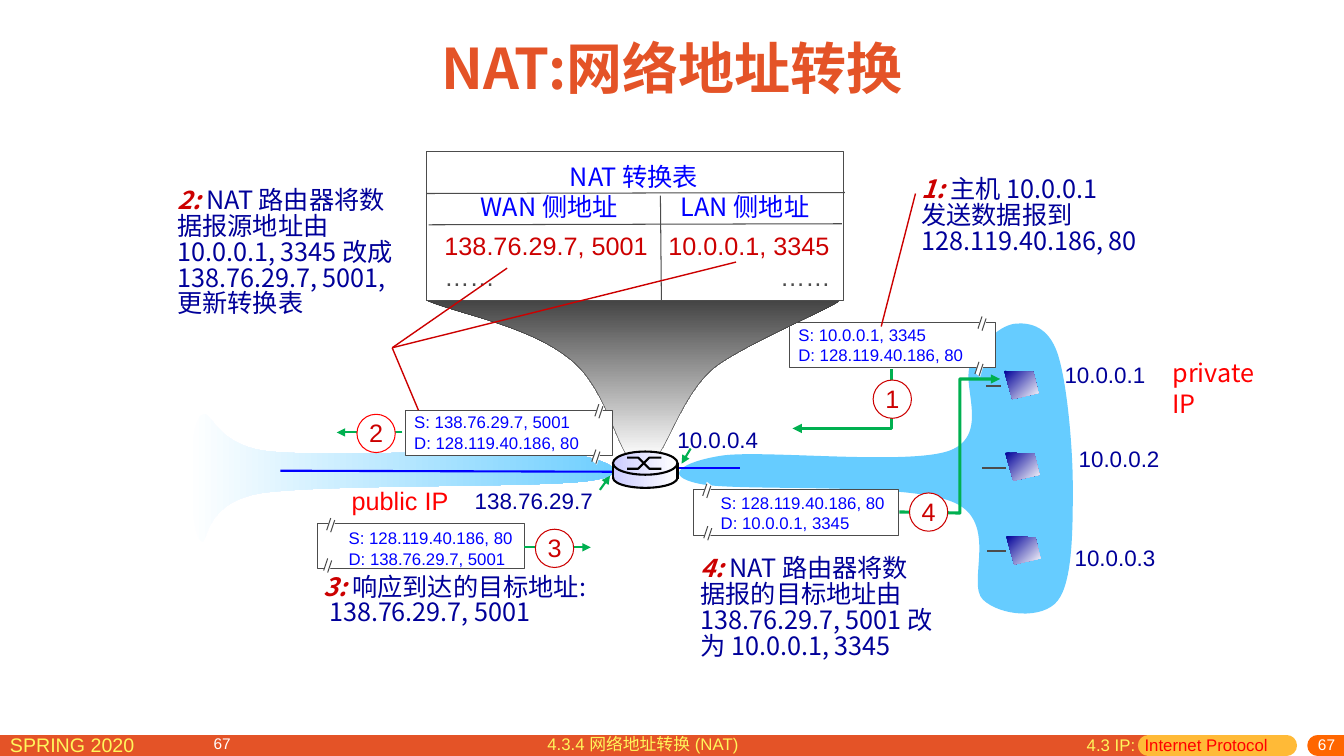
from lxml.etree import SubElement
from pptx import Presentation
from pptx.dml.color import RGBColor
from pptx.enum.shapes import MSO_CONNECTOR, MSO_SHAPE
from pptx.enum.text import MSO_ANCHOR, PP_ALIGN
from pptx.oxml.ns import qn
from pptx.util import Inches, Pt

HEX = {
    "white": "FFFFFF", "black": "000000", "gray": "4C4C4C", "dark": "373737",
    "sky": "66CCFF", "blue": "0000FF", "navy": "000099", "lilac": "CCCCFF",
    "crimson": "CC0000", "red": "FF0000", "green": "00B050",
    "brand": "E45327", "amber": "FFBA37", "orange": "FF6600", "lemon": "FFF65C",
}
LATIN, HAN = "Arial", "Noto Sans CJK SC"
METAL = ("lilac", "white", 0)


def rgb(name):
    return RGBColor.from_string(HEX[name])


def font(color, size, name=LATIN, **more):
    return {"color": color, "size": Pt(size), "name": name, **more}


def stroke(shape, color, width, **ends):
    """Set line colour and width; ends maps headEnd or tailEnd to an arrow type."""
    shape.line.color.rgb = rgb(color)
    shape.line.width = Pt(width)
    for tag, kind in ends.items():
        SubElement(shape.element.spPr.find(qn("a:ln")), qn("a:" + tag), type=kind)


def paint(shape, fill=None, line=None, width=0.75, **ends):
    """Fill with a colour, or with (from, to, clockwise angle), and outline."""
    shape.shadow.inherit = False
    if fill is None:
        shape.fill.background()
    elif isinstance(fill, tuple):
        shape.fill.gradient()
        shape.fill.gradient_angle = (360 - fill[2]) % 360
        for stop, name in zip(shape.fill.gradient_stops, fill):
            stop.color.rgb = rgb(name)
    else:
        shape.fill.solid()
        shape.fill.fore_color.rgb = rgb(fill)
    if line:
        stroke(shape, line, width, **ends)
    else:
        shape.line.fill.background()


def block(area, kind, x, y, w, h, *style):
    box = [Inches(v) for v in (x, y, w, h)]
    paint(area.shapes.add_shape(kind, *box), *style)


def line(area, x1, y1, x2, y2, color, width, cap=None, **ends):
    points = [Inches(v) for v in (x1, y1, x2, y2)]
    link = area.shapes.add_connector(MSO_CONNECTOR.STRAIGHT, *points)
    stroke(link, color, width, **ends)
    props = link.element.spPr
    SubElement(props, qn("a:effectLst"))
    if cap:
        props.find(qn("a:ln")).set("cap", cap)


def outline(area, points, close, *style, **ends):
    spots = [(Inches(x), Inches(y)) for x, y in points]
    path = area.shapes.build_freeform(*spots[0], scale=1.0)
    path.add_line_segments(spots[1:], close=close)
    shape = path.convert_to_shape()
    paint(shape, *style, **ends)
    return shape


def curve(area, start, parts, *style):
    """A closed outline; each part holds two control points and an end point."""
    points = [start] + [part[k:k + 2] for part in parts for k in (0, 2, 4)]
    shape = outline(area, points, True, *style)
    steps = list(shape.element.iter(qn("a:lnTo")))
    for i in range(0, 3 * len(parts), 3):
        trio = steps[i:i + 3]
        trio[0].tag = qn("a:cubicBezTo")
        for step in trio[1:]:
            trio[0].append(step[0])
            step.getparent().remove(step)


def text(area, x, y, w, h, rows, fmt, align=PP_ALIGN.LEFT, space=None,
         tabs=(), wrap=True, **frame):
    """Add rows; a row is a string or a list of (string, format) runs."""
    box = area.shapes.add_textbox(*[Inches(v) for v in (x, y, w, h)]).text_frame
    for key, value in {"word_wrap": wrap, **frame}.items():
        setattr(box, key, value)
    for i, row in enumerate(rows):
        para = box.paragraphs[0] if i == 0 else box.add_paragraph()
        para.alignment = align
        if space:
            para.line_spacing = space
        if i < len(tabs):
            stops = SubElement(para._p.get_or_add_pPr(), qn("a:tabLst"))
            for pos, kind in tabs[i]:
                SubElement(stops, qn("a:tab"), pos=str(Inches(pos)), algn=kind)
        for words, look in [(row, fmt)] if isinstance(row, str) else row:
            run = para.add_run()
            run.text = words
            run.font.color.rgb = rgb(look["color"])
            for key, value in look.items():
                if key != "color":
                    setattr(run.font, key, value)
            SubElement(run._r.get_or_add_rPr(), qn("a:ea"), typeface=look["name"])


def note(area, x, y, w, h, number, first, *rest):
    """A numbered explanation of one step."""
    plain = font("navy", 18, HAN)
    bold = font("crimson", 18, HAN, bold=True, italic=True)
    text(area, x, y, w, h, [[(number, bold), (first, plain)], *rest], plain, space=0.85)


def tear(area, x, y):
    """The double slash that breaks the edge of a packet."""
    edge = [(x + .04, y), (x, y + .13), (x + .05, y + .17), (x + .09, y + .04)]
    outline(area, edge, True, "white")
    for dx, dy in ((0, 0), (.04, .02)):
        line(area, x + .04 + dx, y + .02 + dy, x + dx, y + .14 + dy, "gray", 0.75)


def packet(area, x, y, w, left, top, source, target, *tears):
    block(area, MSO_SHAPE.RECTANGLE, x, y, w, .45, "white", "gray")
    text(area, left, top, 1.94, .5, ["S: " + source, "D: " + target], font("blue", 12))
    for spot in tears:
        tear(area, *spot)


def badge(area, x, y, digit, ring="crimson"):
    block(area, MSO_SHAPE.OVAL, x, y, .38, .38, "white", ring)
    text(area, x + .02, y - .02, .34, .4, [digit], font("crimson", 18),
         PP_ALIGN.CENTER, wrap=False)


def footer(slide):
    for x1, x2, color, cap in ((-.18, 11.39, "brand", "flat"),
                               (11.39, 12.76, "amber", "rnd"),
                               (13.07, 13.6, "orange", "rnd")):
        line(slide, x1, 7.395, x2, 7.395, color, 15, cap)
    text(slide, 0, 7.22, 2.29, .31, ["SPRING 2020"], font("lemon", 14))
    for x, y, align in ((10.75, 7.32, PP_ALIGN.RIGHT), (2.02, 7.31, PP_ALIGN.LEFT)):
        text(slide, x, y, 2.59, .18, ["67"], font("white", 11), align,
             vertical_anchor=MSO_ANCHOR.MIDDLE, margin_top=0)


def clouds(slide):
    public = [(5.06, 4.44, 3.29, 4.54, 2.69, 4.48), (2.09, 4.43, 2.1, 3.99, 1.98, 4.14),
              (1.86, 4.28, 1.88, 5.22, 1.98, 5.35), (2.08, 5.48, 1.96, 4.99, 2.6, 4.89),
              (3.24, 4.8, 5.34, 4.84, 5.84, 4.77), (6.34, 4.7, 6.02, 4.55, 5.58, 4.49)]
    curve(slide, (5.58, 4.49), public, ("white", "sky", 0))
    private = [(7.57, 4.46, 9.01, 4.62, 9.42, 4.47), (9.83, 4.31, 9.52, 3.81, 9.63, 3.6),
               (9.74, 3.39, 9.93, 3.22, 10.08, 3.21), (10.22, 3.2, 10.4, 3.24, 10.49, 3.51),
               (10.58, 3.78, 10.64, 4.42, 10.64, 4.83), (10.64, 5.24, 10.64, 5.77, 10.49, 5.96),
               (10.34, 6.15, 9.92, 6.11, 9.75, 5.95), (9.58, 5.79, 9.92, 5.17, 9.45, 4.98),
               (8.98, 4.78, 7.32, 4.88, 6.94, 4.8), (6.55, 4.72, 6.77, 4.58, 7.16, 4.52)]
    curve(slide, (7.16, 4.52), private, "sky")


def ledger(slide):
    """The translation table and the funnel that ties it to the router."""
    funnel = [(4.23, 2.98, 7.84, 2.87, 8.31, 2.98), (8.45, 2.97, 7.38, 3.41, 7.08, 3.65),
              (6.78, 3.9, 6.63, 4.41, 6.5, 4.55), (6.5, 4.55, 6.24, 4.55, 6.24, 4.55),
              (6.1, 4.38, 5.99, 3.82, 5.65, 3.56), (5.24, 3.23, 4.56, 3.12, 4.23, 2.98)]
    curve(slide, (4.23, 2.98), funnel, ("dark", "white", 90), "dark", 0.25)
    block(slide, MSO_SHAPE.RECTANGLE, 4.23, 1.5, 4.14, 1.48, "white", "gray")
    text(slide, 4.29, 1.55, 4, .71, ["\tNAT 转换表", "\tWAN 侧地址\tLAN 侧地址"],
         font("blue", 18, HAN), tabs=([(1.9, "ctr")], [(1.06, "ctr"), (3, "ctr")]))
    for ends in ((4.23, 1.92, 8.38, 1.91), (4.25, 2.23, 8.35, 2.22), (6.55, 1.94, 6.56, 2.98)):
        line(slide, *ends, "gray", 0.75)
    text(slide, 4.31, 2.24, 4.05, .7,
         ["138.76.29.7, 5001\t10.0.0.1, 3345", [("……\t……", font("gray", 18))]],
         font("crimson", 18), tabs=([(2.22, "l")], [(3.83, "r")]))


def router(area):
    block(area, MSO_SHAPE.OVAL, 6.08, 4.64, .64, .2, METAL, "black", 1.5)
    block(area, MSO_SHAPE.RECTANGLE, 6.08, 4.61, .64, .12, METAL)
    block(area, MSO_SHAPE.OVAL, 6.08, 4.48, .64, .23, METAL, "black", 1.5)
    for y1, y2 in ((4.65, 4.54), (4.54, 4.65)):
        cross = [(6.22, y1), (6.33, y1), (6.44, y2), (6.56, y2)]
        outline(area, cross, False, None, "black", 1.5)
    for x in (6.08, 6.72):
        line(area, x, 4.59, x, 4.75, "black", 1.5)


def main():
    deck = Presentation()
    deck.slide_width, deck.slide_height = Inches(13.33), Inches(7.5)
    slide = deck.slides.add_slide(deck.slide_layouts[6])
    group = slide.shapes.add_group_shape
    footer(slide)
    clouds(slide)
    line(slide, 6.68, 4.64, 7.34, 4.64, "blue", 1.5)
    for x, y, host in ((10.46, 3.53, "10.0.0.1"), (10.6, 4.37, "10.0.0.2"),
                       (10.56, 5.35, "10.0.0.3"), (6.62, 4.18, "10.0.0.4"),
                       (4.61, 4.78, "138.76.29.7")):
        text(slide, x, y, 1.05 if len(host) < 9 else 1.38, .37, [host], font("navy", 16))

    send = group()
    packet(send, 7.83, 3.2, 2.04, 7.82, 3.17, "10.0.0.1, 3345", "128.119.40.186, 80",
           (9.7, 3.12), (9.67, 3.57))
    outline(send, [(7.86, 4.25), (8.84, 4.25), (8.84, 3.66)], False,
            None, "green", 2.25, headEnd="triangle")
    badge(send, 8.66, 3.77, "1")
    line(slide, 6.85, 4.45, 6.76, 4.6, "green", 1.5, tailEnd="triangle")
    line(slide, 6.05, 4.72, 5.95, 4.86, "green", 1.5, headEnd="triangle")
    start = group()
    note(start, 9.04, 1.72, 2.44, .87, "1: ", "主机 10.0.0.1", "发送数据报到", "128.119.40.186, 80")
    line(start, 9.08, 1.92, 8.74, 3.24, "crimson", 1)
    ledger(slide)

    reach = group()
    packet(reach, 6.88, 4.86, 2.03, 7.05, 4.84, "128.119.40.186, 80", "10.0.0.1, 3345",
           (6.97, 4.78), (6.98, 5.2))
    outline(reach, [(9.92, 3.76), (9.52, 3.76), (9.52, 5.09), (8.92, 5.08)], False,
            None, "green", 2.25, headEnd="triangle")
    badge(reach, 9.02, 4.89, "4")
    leave = group()
    packet(leave, 4.02, 4.07, 2.06, 4.01, 4.04, "138.76.29.7, 5001", "128.119.40.186, 80",
           (5.9, 3.99), (5.87, 4.44))
    line(leave, 3.99, 4.29, 3.34, 4.29, "green", 1.5, tailEnd="triangle")
    badge(leave, 3.54, 4.11, "2", "red")
    swap = group()
    note(swap, 1.66, 1.83, 2.5, 1.39, "2: ", "NAT 路由器将数", "据报源地址由",
         "10.0.0.1, 3345 改成", "138.76.29.7, 5001,", "更新转换表")
    for x, y in ((4.15, 4.07), (5.03, 2.66), (7.3, 2.6)):
        line(swap, 3.89, 3.45, x, y, "crimson", 1)
    reply = group()
    packet(reply, 3.15, 5.19, 2.05, 3.36, 5.19, "128.119.40.186, 80", "138.76.29.7, 5001",
           (3.24, 5.12), (3.21, 5.52))
    line(reply, 5.86, 5.43, 5.2, 5.43, "green", 1.5, headEnd="triangle")
    badge(reply, 5.31, 5.25, "3")
    note(slide, 3.11, 5.66, 3.1, .62, "3: ", "响应到达的目标地址:", " 138.76.29.7, 5001")
    note(slide, 6.85, 5.48, 2.66, 1.43, "4: ", "NAT 路由器将数", "据报的目标地址由",
         "138.76.29.7, 5001 改", "为 10.0.0.1, 3345")

    line(slide, 2.78, 4.67, 6.09, 4.68, "blue", 1.5)
    router(group())
    for x, y, x1, x2, wire in ((9.96, 3.68, 9.78, 9.93, 3.83), (9.97, 4.49, 9.74, 9.98, 4.64),
                               (9.98, 5.32, 9.79, 9.98, 5.47)):
        line(slide, x1, wire, x2, wire, "gray", 1.5)
        screen = [(x, y), (x + .29, y + .01), (x + .34, y + .22), (x + .08, y + .28)]
        outline(slide, screen, True, ("navy", "white", 45))

    text(slide, 10.68, 7.24, 2.2, .31, [[("4.3 IP: ", font("lemon", 12)),
         (" Internet Protocol", font("red", 12))]], None)
    text(slide, 5.33, 7.23, 3.21, .31, ["4.3.4 网络地址转换 (NAT)"], font("lemon", 12))
    text(slide, 2.24, .17, 8.85, .99, ["NAT:网络地址转换"], font("brand", 40, HAN, bold=True),
         PP_ALIGN.CENTER, vertical_anchor=MSO_ANCHOR.MIDDLE)
    text(slide, 11.53, 3.5, 1.17, .4, ["private IP"], font("red", 18, HAN))
    text(slide, 3.39, 4.77, 1.17, .4, ["public IP"], font("red", 18))
    deck.save("out.pptx")


if __name__ == "__main__":
    main()
